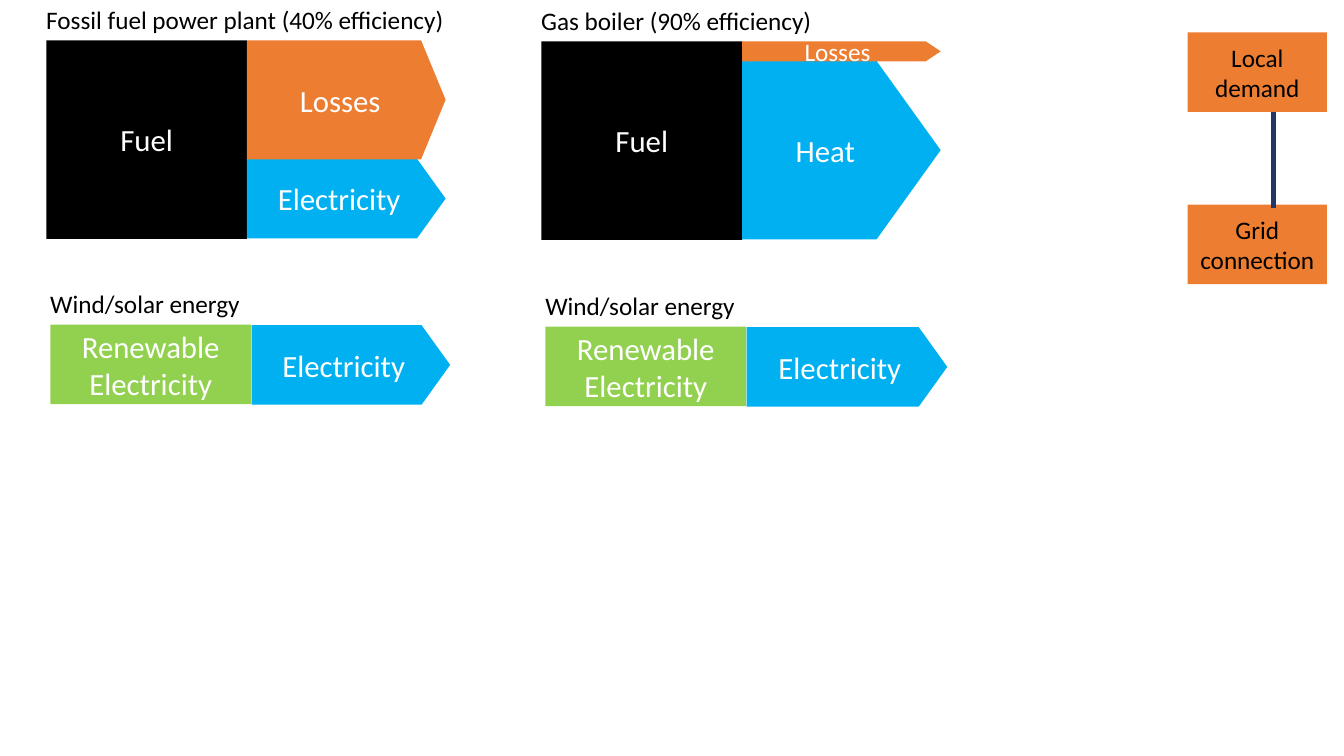
from lxml import etree
from pptx import Presentation
from pptx import util as u
from pptx.dml.color import RGBColor
from pptx.enum import shapes, text
from pptx.oxml.ns import qn

BLACK, WHITE, NAVY = "000000", "FFFFFF", "203864"
ORANGE, BLUE, GREEN = "ED7D31", "00B0F0", "92D050"
RECT = shapes.MSO_SHAPE.RECTANGLE
ARROW = shapes.MSO_SHAPE.PENTAGON


def color(value):
    return RGBColor.from_string(value)


def write(shape, content, size=18, fill=BLACK, font="Calibri",
          align=text.PP_ALIGN.LEFT, anchor=text.MSO_ANCHOR.TOP):
    frame = shape.text_frame
    frame.word_wrap = True
    frame.vertical_anchor = anchor
    paragraph = frame.paragraphs[0]
    paragraph.text = content
    paragraph.alignment = align
    paragraph.font.name = font
    paragraph.font.size = u.Pt(size)
    paragraph.font.color.rgb = color(fill)


class EnergyDiagram:
    block_width = 1.99
    arrow_width = 1.97
    row_height = 0.79
    label_inset = 0.1

    def __init__(self, slide):
        self.slide = slide

    def label(self, content, left, top):
        box = self.slide.shapes.add_textbox(
            u.Inches(left - self.label_inset), u.Inches(top), u.Inches(4.3), u.Inches(0.4))
        write(box, content)
        box.text_frame.auto_size = text.MSO_AUTO_SIZE.SHAPE_TO_FIT_TEXT

    def block(self, content, left, top, width, height, fill,
              kind=RECT, point=None, size=22, ink=WHITE):
        shape = self.slide.shapes.add_shape(
            kind, u.Inches(left), u.Inches(top), u.Inches(width), u.Inches(height))
        shape.shadow.inherit = False
        shape.fill.solid()
        shape.fill.fore_color.rgb = color(fill)
        shape.line.fill.background()
        if point is not None:
            shape.adjustments[0] = point
        write(shape, content, size=size, fill=ink,
              align=text.PP_ALIGN.CENTER, anchor=text.MSO_ANCHOR.MIDDLE)

    def arrow(self, content, left, top, height, fill, point=0.359, size=22, width=arrow_width):
        self.block(content, left, top, width, height, fill, ARROW, point, size)

    def line(self, x, top, bottom, fill, width):
        connector = self.slide.shapes.add_connector(
            shapes.MSO_CONNECTOR.STRAIGHT,
            u.Inches(x), u.Inches(top), u.Inches(x), u.Inches(bottom))
        connector.line.color.rgb = color(fill)
        connector.line.width = u.Pt(width)
        etree.SubElement(connector._element.spPr, qn("a:effectLst"))

    def fuel_flow(self, title, left, top, useful, useful_height, losses_height, point, size):
        """Fuel block split into losses above and useful energy below."""
        middle = left + self.block_width
        self.label(title, left, top - 0.41)
        self.block("Fuel", left, top, self.block_width, 1.97, BLACK)
        self.arrow(useful, middle, top + 1.965 - useful_height, useful_height, BLUE)
        self.arrow("Losses", middle, top, losses_height, ORANGE, point, size)

    def renewable_flow(self, left, top, arrow_width):
        self.label("Wind/solar energy", left, top - 0.41)
        self.block("Renewable Electricity", left, top, self.block_width, self.row_height, GREEN)
        self.arrow("Electricity", left + self.block_width + 0.005, top + 0.005,
                   self.row_height, BLUE, width=arrow_width)

    def grid_link(self, left, width):
        for content, top in (("Grid connection", 2.03), ("Local demand", 0.32)):
            self.block(content, left, top, width, self.row_height, ORANGE, size=18, ink=BLACK)
        self.line(12.63, 1.11, 2.06, NAVY, 4)


def main():
    presentation = Presentation()
    presentation.slide_width = u.Inches(13.33)
    presentation.slide_height = u.Inches(7.5)
    diagram = EnergyDiagram(presentation.slides.add_slide(presentation.slide_layouts[6]))

    # Local demand and grid
    diagram.grid_link(11.78, 1.38)

    # Power plant against renewables
    diagram.fuel_flow("Fossil fuel power plant (40% efficiency)", 0.46, 0.4,
                      "Electricity", 0.79, 1.18, point=0.206, size=22)
    diagram.renewable_flow(0.5, 3.22, arrow_width=1.97)

    # Gas boiler against renewables
    diagram.fuel_flow("Gas boiler (90% efficiency)", 5.37, 0.41,
                      "Heat", 1.77, 0.2, point=0.749, size=18)
    diagram.renewable_flow(5.41, 3.24, arrow_width=1.99)

    presentation.save("out.pptx")


if __name__ == "__main__":
    main()
